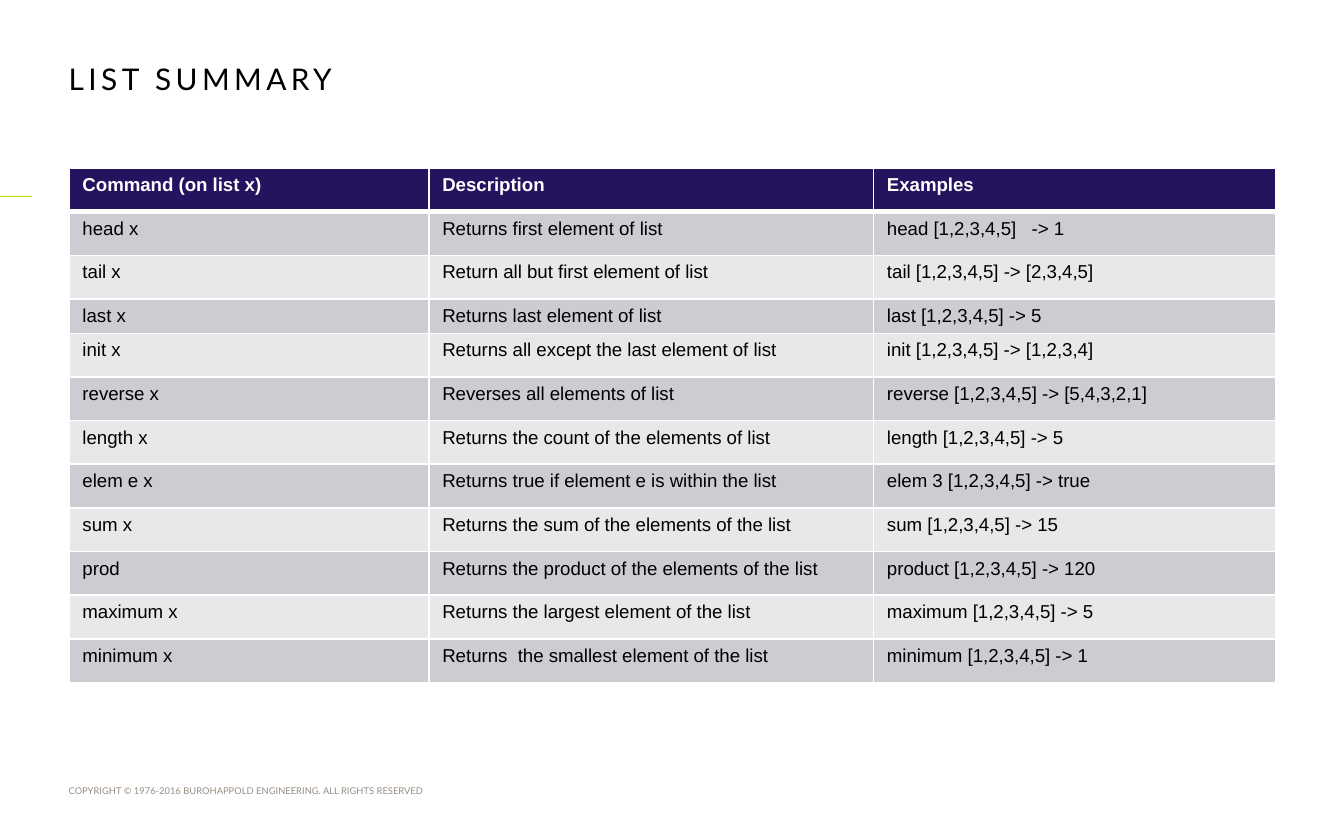
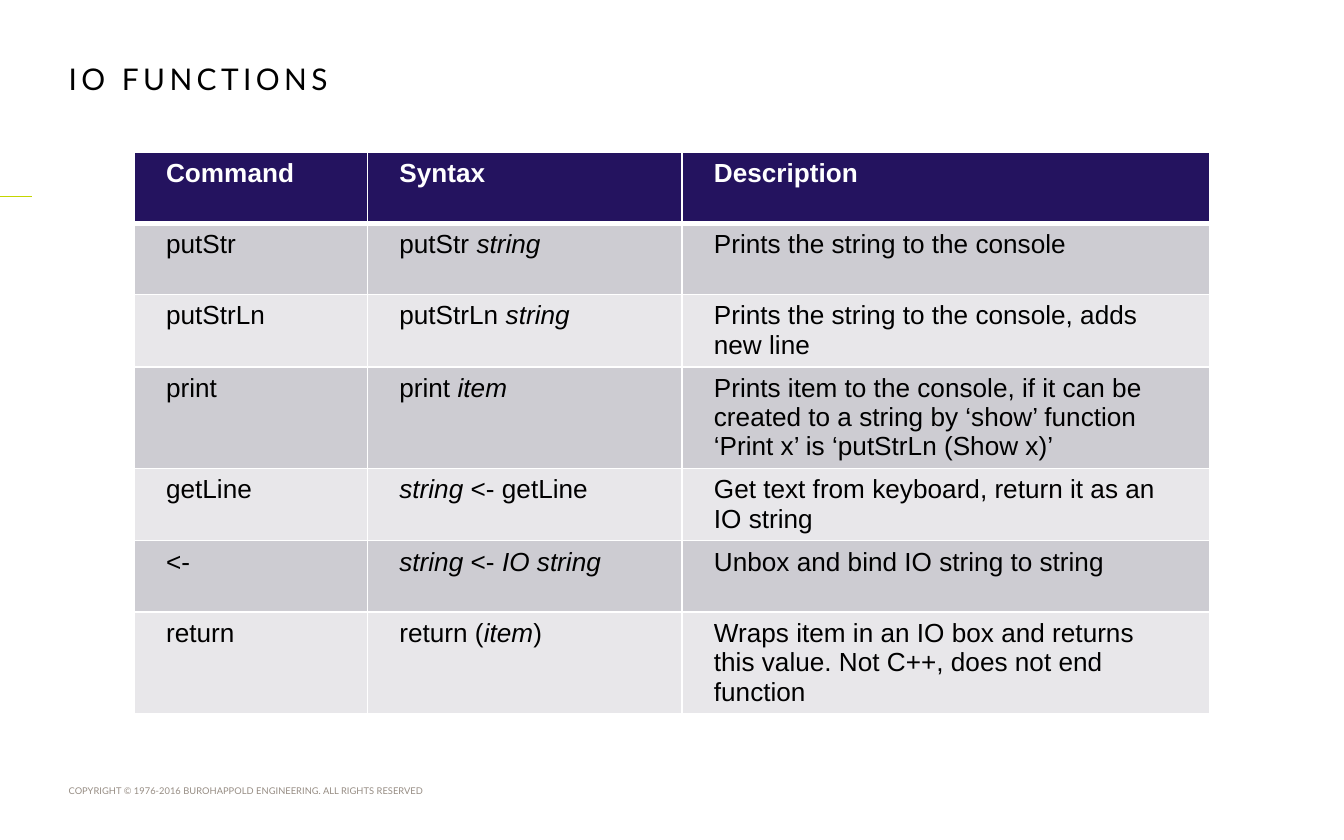
from lxml.etree import SubElement
from pptx import Presentation
from pptx.dml.color import RGBColor
from pptx.enum.text import MSO_ANCHOR as Anchor, MSO_AUTO_SIZE as AutoSize, PP_ALIGN as Align
from pptx.oxml.ns import qn
from pptx.util import Pt

PURPLE, LIME, TAUPE = "24135F", "C4D600", "968C83"
BLACK, WHITE = "000000", "FFFFFF"
BANDS = ("CDCCD2", "E8E7EA")
HEADING_FONT, BODY_FONT = "Lato", "Arial"
LEFT = 36.8
COPYRIGHT = "COPYRIGHT © 1976-2016 BUROHAPPOLD ENGINEERING. ALL RIGHTS RESERVED"

LIST_COMMANDS = [
    ("Command (on list x)", "Description", "Examples"),
    ("head x", "Returns first element of list", "head [1,2,3,4,5]   -> 1"),
    ("tail x", "Return all but first element of list", "tail [1,2,3,4,5] -> [2,3,4,5]"),
    ("last x", "Returns last element of list", "last [1,2,3,4,5] -> 5"),
    ("init x", "Returns all except the last element of list", "init [1,2,3,4,5] -> [1,2,3,4]"),
    ("reverse x", "Reverses all elements of list", "reverse [1,2,3,4,5] -> [5,4,3,2,1]"),
    ("length x", "Returns the count of the elements of list", "length [1,2,3,4,5] -> 5"),
    ("elem e x", "Returns true if element e is within the list", "elem 3 [1,2,3,4,5] -> true"),
    ("sum x", "Returns the sum of the elements of the list", "sum [1,2,3,4,5] -> 15"),
    ("prod", "Returns the product of the elements of the list", "product [1,2,3,4,5] -> 120"),
    ("maximum x", "Returns the largest element of the list", "maximum [1,2,3,4,5] -> 5"),
    ("minimum x", "Returns  the smallest element of the list", "minimum [1,2,3,4,5] -> 1"),
]
LIST_ROW_HEIGHTS = [23.4] * 3 + [15] + [23.4] * 8

IO_FUNCTIONS = [
    ("Command", "Syntax", "Description"),
    ("putStr", "putStr *string*", "Prints the string to the console"),
    ("putStrLn", "putStrLn *string*", "Prints the string to the console, adds new line"),
    ("print", "print *item*",
     "Prints item to the console, if it can be created to a string by ‘show’ function\n"
     "‘Print x’ is ‘putStrLn (Show x)’"),
    ("getLine", "*string* <- getLine", "Get text from keyboard, return it as an IO string"),
    ("<-", "*string* <- *IO string*", "Unbox and bind IO string to string"),
    ("return", "return (*item*)",
     "Wraps item in an IO box and returns this value. Not C++, does not end function"),
]
IO_ROW_HEIGHTS = [38.2] * len(IO_FUNCTIONS)


def color(value):
    """Turn a hex string into a colour."""
    return RGBColor.from_string(value)


def style_font(font, name, size, fill, bold=False):
    """Set the typeface, size, colour and weight of a font."""
    font.name, font.size, font.bold = name, Pt(size), bold
    font.color.rgb = color(fill)


def set_heading_text(shape, text, size, fill):
    """Write one left-aligned heading-font line with no margins."""
    frame = shape.text_frame
    frame.text = text
    frame.word_wrap = True
    frame.auto_size = AutoSize.NONE
    frame.vertical_anchor = Anchor.TOP
    frame.margin_left = frame.margin_top = frame.margin_right = frame.margin_bottom = 0
    para = frame.paragraphs[0]
    para.alignment = Align.LEFT
    style_font(para.runs[0].font, HEADING_FONT, size, fill)
    return para.runs[0]


def add_page(deck, title):
    """Add a slide with its footer, accent line and title."""
    page = deck.slides.add_slide(deck.slide_layouts[5])
    footer = page.shapes.add_textbox(Pt(LEFT), Pt(420.5), Pt(227), Pt(6))
    set_heading_text(footer, COPYRIGHT, 5, TAUPE)

    accent = page.shapes.add_connector(1, Pt(-8.5), Pt(105.2), Pt(17.4), Pt(105.2))
    accent.line.color.rgb = color(LIME)
    accent.line.width = Pt(0.5)
    SubElement(accent._element.spPr, qn("a:effectLst"))

    heading = page.shapes.title
    heading.left, heading.top, heading.width, heading.height = Pt(LEFT), Pt(32.4), Pt(430.5), Pt(58.3)
    span = set_heading_text(heading, title, 16, BLACK)
    span._r.get_or_add_rPr().set("spc", "240")
    return page


def add_borders(cell, top, bottom):
    """Draw white borders around a cell, with the given top and bottom widths."""
    props = cell._tc.get_or_add_tcPr()
    for side, width in (("L", 1), ("R", 1), ("T", top), ("B", bottom)):
        line = SubElement(props, qn(f"a:ln{side}"), w=str(Pt(width)))
        fill = SubElement(line, qn("a:solidFill"))
        SubElement(fill, qn("a:srgbClr"), val=WHITE)


def fill_cell(cell, text, size, fill, bold):
    """Write cell text, with the parts between asterisks in italics."""
    frame = cell.text_frame
    frame.text = text.replace("*", "")
    for para, line in zip(frame.paragraphs, text.split("\n")):
        para.text = ""
        for index, part in enumerate(line.split("*")):
            if part:
                span = para.add_run()
                span.text = part
                style_font(span.font, BODY_FONT, size, fill, bold)
                span.font.italic = index % 2 == 1


def add_command_table(page, left, top, widths, heights, rows, size, side_margin):
    """Place a banded table with a purple header row."""
    table = page.shapes.add_table(len(rows), len(widths), Pt(left), Pt(top),
                                  Pt(sum(widths)), Pt(sum(heights))).table
    for column, width in zip(table.columns, widths):
        column.width = Pt(width)
    for number, (row, height, texts) in enumerate(zip(table.rows, heights, rows)):
        row.height = Pt(height)
        header = number == 0
        for cell, text in zip(row.cells, texts):
            cell.margin_left = cell.margin_right = Pt(side_margin)
            cell.margin_top = cell.margin_bottom = Pt(3.6)
            add_borders(cell, 3 if number == 1 else 1, 3 if header else 1)
            cell.fill.solid()
            cell.fill.fore_color.rgb = color(PURPLE if header else BANDS[(number - 1) % 2])
            fill_cell(cell, text, size, WHITE if header else BLACK, header)


def main():
    """Build and save the two slides."""
    deck = Presentation()
    deck.slide_width, deck.slide_height = Pt(720), Pt(450)
    page = add_page(deck, "LIST SUMMARY")
    add_command_table(page, 37, 90, (192.8, 238.2, 215.3), LIST_ROW_HEIGHTS,
                      LIST_COMMANDS, 10, 7.2)
    page = add_page(deck, "IO FUNCTIONS")
    add_command_table(page, 72, 81.4, (125, 168.5, 282.8), IO_ROW_HEIGHTS,
                      IO_FUNCTIONS, 14, 17)
    deck.save("out.pptx")


if __name__ == "__main__":
    main()
